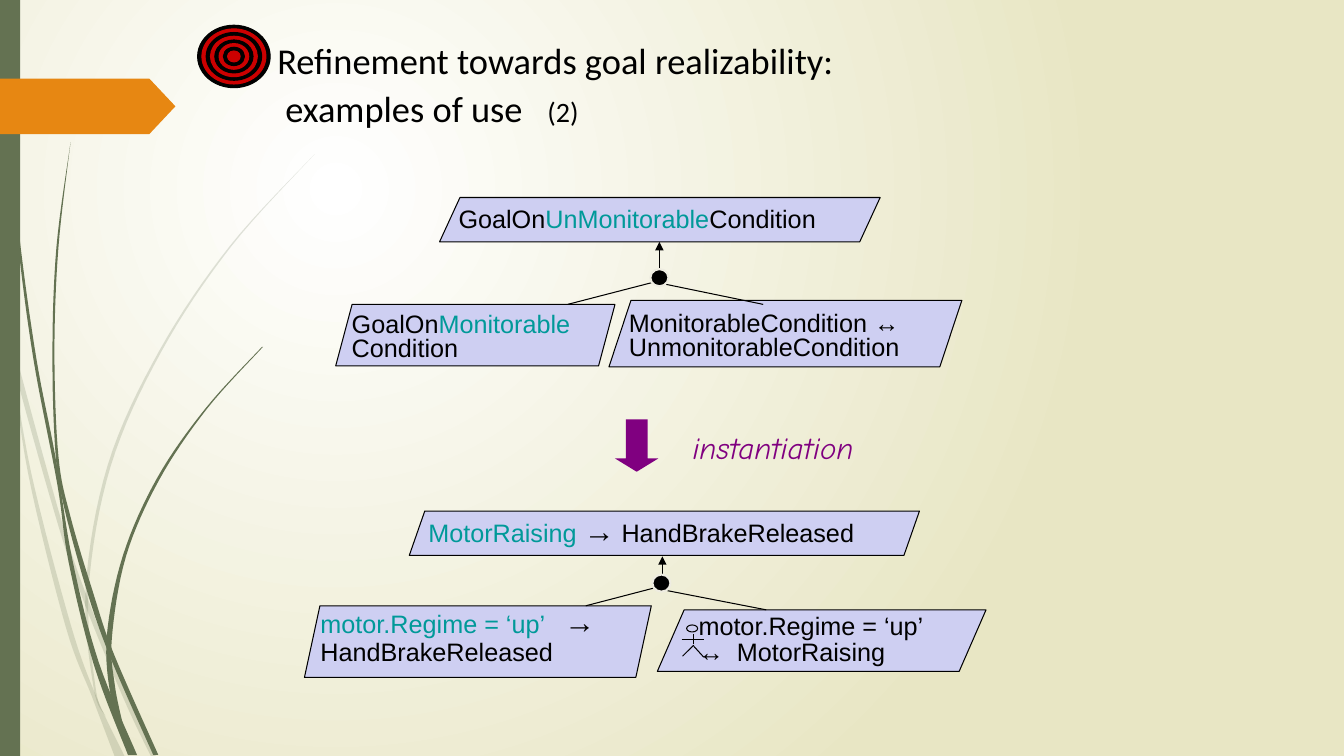
from pptx import Presentation
from pptx.dml.color import RGBColor
from pptx.enum.shapes import MSO_CONNECTOR, MSO_SHAPE
from pptx.enum.text import MSO_ANCHOR, PP_ALIGN
from pptx.oxml.ns import qn
from pptx.util import Inches, Pt
from lxml.etree import SubElement

COLOURS = {
    "white": "FFFFFF", "cream": "E8E6C4", "moss": "647252", "orange": "E78712",
    "lilac": "CECFF2", "black": "000000", "teal": "009999", "purple": "800080",
    "red": "CC0000", "ivory": "EEECE1",
}

deck = Presentation()
deck.slide_width, deck.slide_height = Inches(13.33), Inches(7.5)
column, row = deck.slide_width / 1333, deck.slide_height / 750
page = deck.slides.add_slide(deck.slide_layouts[5])


def place(kind, left, top, width, height, fill, line=None, weight=0.75):
    shape = page.shapes.add_shape(kind, round(left * column), round(top * row),
                                  round(width * column), round(height * row))
    shape.shadow.inherit = False
    if fill:
        shape.fill.solid()
        shape.fill.fore_color.rgb = RGBColor.from_string(COLOURS[fill])
    else:
        shape.fill.background()
    if line:
        shape.line.color.rgb = RGBColor.from_string(COLOURS[line])
        shape.line.width = Pt(weight)
    else:
        shape.line.fill.background()
    return shape


def write_lines(box, font, lines):
    frame = box.text_frame
    frame.word_wrap = True
    for index, (spacing, indent, tab, spans) in enumerate(lines):
        para = frame.paragraphs[0] if index == 0 else frame.add_paragraph()
        para.alignment = PP_ALIGN.LEFT
        para.line_spacing = spacing
        properties = para._p.get_or_add_pPr()
        if indent:
            properties.set("marL", str(round(indent * column)))
        if tab:
            stops = SubElement(properties, qn("a:tabLst"))
            SubElement(stops, qn("a:tab"), pos=str(round(tab * column)), algn="l")
        para.font.name = font
        for text, colour, size in spans:
            span = para.add_run()
            span.text = text
            span.font.size = Pt(size)
            span.font.color.rgb = RGBColor.from_string(COLOURS[colour])


backdrop = page.background.fill
backdrop.gradient()
for stop, name in zip(backdrop.gradient_stops, ("white", "cream")):
    stop.color.rgb = RGBColor.from_string(COLOURS[name])
gradient = page._element.find(".//" + qn("a:gradFill"))
gradient.remove(gradient.find(qn("a:lin")))
glow = SubElement(gradient, qn("a:path"), **{"path": "circle"})
SubElement(glow, qn("a:fillToRect"), l="50000", t="50000", r="100000", b="100000")

blades = [
    (20, [(0, 299), (17, 376), (58, 522), (84, 599), (123, 694), (150, 751)],
         [(0, 282), (14, 345), (62, 520), (92, 607), (127, 692), (155, 751)]),
    (20, [(11, 350), (28, 470), (65, 621), (92, 693), (114, 751)],
         [(11, 350), (31, 469), (70, 619), (96, 692), (124, 751)]),
    (20, [(312, 153), (228, 244), (158, 348), (107, 461), (85, 584), (93, 683), (105, 711)],
         [(312, 153), (229, 245), (160, 349), (110, 462), (88, 584), (95, 683), (105, 711)]),
    (100, [(3, 0), (7, 110), (17, 233), (33, 355), (57, 481), (68, 557), (93, 659), (127, 749)],
          [(4, 0), (8, 109), (19, 232), (36, 355), (55, 453), (72, 556), (98, 657), (136, 749)]),
    (100, [(70, 141), (56, 245), (52, 349), (55, 449), (64, 505), (88, 592), (111, 656), (152, 749)],
          [(70, 141), (58, 245), (54, 349), (58, 453), (70, 513), (93, 590), (113, 649), (157, 749)]),
    (100, [(260, 344), (204, 405), (156, 474), (122, 551), (106, 631), (110, 691), (122, 719)],
          [(261, 344), (205, 406), (158, 476), (125, 552), (111, 633), (114, 680), (122, 719)]),
]
for opacity, left_edge, right_edge in blades:
    outline = []
    for knots in (left_edge, right_edge[::-1]):
        padded = [knots[0], *knots, knots[-1]]
        for a, b, c, d in zip(padded, padded[1:], padded[2:], padded[3:]):
            for step in range(9):
                t = step / 8
                x, y = (b[i] + t * (c[i] - a[i]) / 2
                        + t ** 2 * (2 * a[i] - 5 * b[i] + 4 * c[i] - d[i]) / 2
                        + t ** 3 * (3 * b[i] - a[i] - 3 * c[i] + d[i]) / 2 for i in (0, 1))
                outline.append((round(x * column), round(y * row)))
    builder = page.shapes.build_freeform(*outline[0])
    builder.add_line_segments(outline[1:], close=True)
    blade = builder.convert_to_shape()
    blade.shadow.inherit = False
    blade.line.fill.background()
    blade.fill.solid()
    blade.fill.fore_color.rgb = RGBColor.from_string(COLOURS["moss"])
    colour = blade._element.spPr.find(".//" + qn("a:srgbClr"))
    SubElement(colour, qn("a:alpha"), val=str(opacity * 1000))

place(MSO_SHAPE.RECTANGLE, 0, 0, 20, 750, "moss")
place(MSO_SHAPE.PENTAGON, 0, 78, 174, 55, "orange").adjustments[0] = 0.47

title = page.shapes.title
title.left, title.top = round(265 * column), round(31 * row)
title.width, title.height = round(901 * column), round(101 * row)
title.text_frame.vertical_anchor = MSO_ANCHOR.MIDDLE
write_lines(title, "Calibri", [
    (1.1, 0, 0, [("Refinement towards goal realizability:", "black", 26)]),
    (1.1, 8, 260, [("examples of use\t", "black", 26), ("(2)", "black", 20)]),
])

for ring in range(8):
    width, height = 72 - 8.5 * ring, 62 - 7.3 * ring
    shade = "red" if ring % 2 else "black"
    place(MSO_SHAPE.OVAL, 232 - width / 2, 56 - height / 2, width, height, shade, shade)

goals = [
    (436, 196, 437, 44, 0.46), (333, 302, 277, 61, 0.267), (604, 298, 350, 66, 0.331),
    (406, 507, 506, 44, 0.349), (302, 601, 344, 71, 0.216), (652, 605, 326, 61, 0.436),
]
for left, top, width, height, slant in goals:
    goal = place(MSO_SHAPE.PARALLELOGRAM, left, top, width, height, "lilac", "black")
    goal.adjustments[0] = slant

links = [
    (654, 240, 654, 268, True), (648, 280, 563, 302, False), (660, 282, 757, 302, False),
    (657, 552, 657, 572, True), (650, 583, 581, 601, False), (662, 586, 760, 605, False),
    (688, 629, 688, 639, False), (688, 640, 677, 651, False),
    (688, 641, 698, 652, False), (676, 634, 698, 634, False),
]
for x1, y1, x2, y2, arrow in links:
    link = page.shapes.add_connector(MSO_CONNECTOR.STRAIGHT, round(x1 * column), round(y1 * row),
                                     round(x2 * column), round(y2 * row))
    link.line.color.rgb = RGBColor.from_string(COLOURS["black"])
    link.line.width = Pt(0.75)
    if arrow:
        SubElement(link.line._get_or_add_ln(), qn("a:headEnd"), type="triangle")
    SubElement(link._element.spPr, qn("a:effectLst"))

for left, top in ((645, 267), (647, 570)):
    place(MSO_SHAPE.OVAL, left, top, 18, 17, "black", "ivory", 1.5)
place(MSO_SHAPE.OVAL, 681, 620, 11, 7, None, "black")

instantiation_arrow = place(MSO_SHAPE.DOWN_ARROW, 610, 416, 43, 52, "purple")
instantiation_arrow.adjustments[1] = 0.306

labels = [
    (445, 197, 427, 38, "Arial", [
        (1, 0, 0, [("GoalOn", "black", 18), ("UnMonitorable", "teal", 18),
                   ("Condition", "black", 18)])]),
    (339, 307, 278, 57, "Arial", [
        (0.8, 0, 0, [("GoalOn", "black", 18), ("Monitorable", "teal", 18)]),
        (0.8, 0, 0, [("Condition", "black", 18)])]),
    (614, 306, 323, 57, "Arial", [
        (0.8, 0, 0, [("MonitorableCondition ↔", "black", 18)]),
        (0.8, 0, 0, [("UnmonitorableCondition", "black", 18)])]),
    (415, 510, 490, 39, "Arial", [
        (0.8, 0, 0, [("MotorRaising ", "teal", 18), ("→", "black", 22),
                     (" HandBrakeReleased", "black", 18)])]),
    (308, 600, 339, 57, "Arial", [
        (0.8, 0, 242, [("motor.Regime = ‘up’\t", "teal", 18), ("→", "black", 22)]),
        (0.9, 0, 0, [("HandBrakeReleased", "black", 18)])]),
    (683, 606, 298, 61, "Arial", [
        (0.8, 0, 0, [("motor.Regime = ‘up’", "black", 18)]),
        (0.9, 0, 38, [("↔\tMotorRaising", "black", 18)])]),
    (677, 420, 258, 39, "Comic Neue", [(1, 0, 0, [("instantiation", "purple", 22)])]),
]
for left, top, width, height, font, lines in labels:
    label = page.shapes.add_textbox(round(left * column), round(top * row),
                                    round(width * column), round(height * row))
    write_lines(label, font, lines)
label.text_frame.paragraphs[0].font.italic = True

deck.save("out.pptx")
